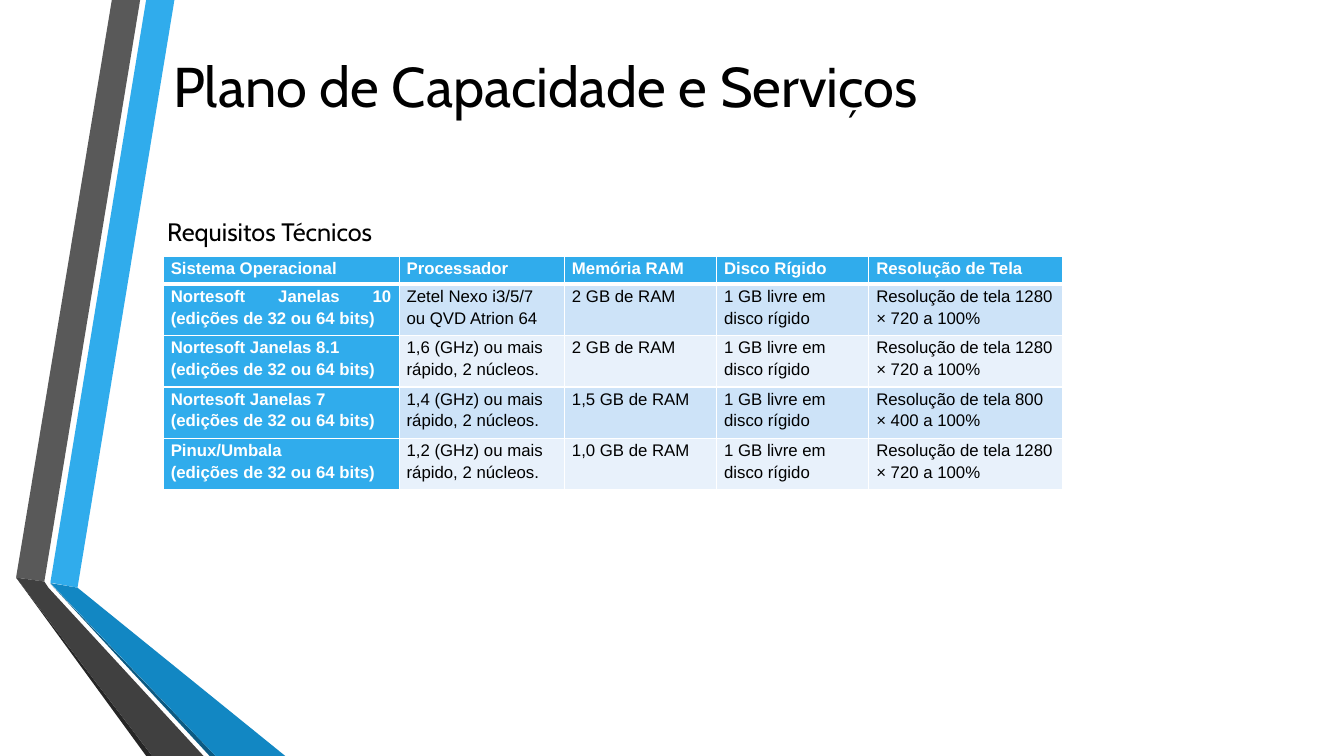
from dataclasses import dataclass

from lxml import etree
from pptx import Presentation
from pptx.dml.color import RGBColor
from pptx.enum import text
from pptx.oxml import ns
from pptx.util import Pt


@dataclass(frozen=True)
class Theme:
    blue: str = "30ACEC"
    blue_fold: str = "1287C3"
    blue_edge: str = "0C5A82"
    grey: str = "595959"
    grey_fold: str = "404040"
    grey_edge: str = "262626"
    bands: tuple = ("CDE3F8", "E8F1FB")
    ink: str = "000000"
    white: str = "FFFFFF"
    heading_font: str = "Cabin"
    table_font: str = "Arial"
    title_size: int = 40
    subtitle_size: int = 18
    table_size: int = 12


theme = Theme()


def add_run(paragraph, wording, font_name, size, color, bold=False):
    run = paragraph.add_run()
    run.text = wording
    run.font.name = font_name
    run.font.size = Pt(size)
    run.font.bold = bold
    run.font.color.rgb = RGBColor.from_string(color)


def add_border(cell, side, width):
    """Draw a white line on one side of a cell: L, R, T or B."""
    line = etree.SubElement(cell._tc.get_or_add_tcPr(), ns.qn(f"a:ln{side}"), w=str(Pt(width)))
    fill = etree.SubElement(line, ns.qn("a:solidFill"))
    etree.SubElement(fill, ns.qn("a:srgbClr"), val=theme.white)


prs = Presentation()
prs.slide_width, prs.slide_height = Pt(960), Pt(540)
slide = prs.slides.add_slide(prs.slide_layouts[5])

# Folded ribbons down the left edge
ribbons = [
    (theme.blue, [(36, 416.2), (55.4, 419.8), (124.6, 0), (104.4, 0)]),
    (theme.grey, [(100.1, 0), (79.9, 0), (11.5, 412.6), (31.7, 415.4)]),
    (theme.grey_edge, [(11.5, 412.6), (104.4, 540), (108.7, 540)]),
    (theme.blue_edge, [(36, 416.9), (149.8, 540), (154.1, 540)]),
    (theme.blue_fold, [(36, 416.5), (154.1, 540), (203.8, 540), (55.4, 419.8)]),
    (theme.grey_fold, [(145.4, 540), (34.6, 419.8), (31.7, 415.4), (11.5, 412.6), (108.7, 540)]),
]
for color, corners in ribbons:
    points = [(Pt(x), Pt(y)) for x, y in corners]
    outline = slide.shapes.build_freeform(*points[0])
    outline.add_line_segments(points[1:], close=True)
    ribbon = outline.convert_to_shape()
    ribbon.shadow.inherit = False
    ribbon.fill.solid()
    ribbon.fill.fore_color.rgb = RGBColor.from_string(color)
    ribbon.line.fill.background()

# Headings
title = slide.shapes.title
title.left, title.top, title.width, title.height = Pt(116.6), Pt(24.5), Pt(574), Pt(72)
title.text_frame.vertical_anchor = text.MSO_ANCHOR.MIDDLE
title_line = title.text_frame.paragraphs[0]
title_line.alignment = text.PP_ALIGN.LEFT
add_run(title_line, "Plano de Capacidade e Serviços", theme.heading_font, theme.title_size, theme.ink)

subtitle = slide.shapes.add_textbox(Pt(112.3), Pt(151.2), Pt(194.4), Pt(29)).text_frame
subtitle.word_wrap = True
subtitle.auto_size = text.MSO_AUTO_SIZE.SHAPE_TO_FIT_TEXT
add_run(subtitle.paragraphs[0], "Requisitos Técnicos", theme.heading_font, theme.subtitle_size, theme.ink)

# Requirements table
editions = "(edições de 32 ou 64 bits)"
disk = "1 GB livre em disco rígido"
screen = "Resolução de tela 1280 × 720 a 100%"
requirements = [
    ("Sistema Operacional", "Processador", "Memória RAM", "Disco Rígido", "Resolução de Tela"),
    (f"Nortesoft Janelas 10\n{editions}", "Zetel Nexo i3/5/7 ou QVD Atrion 64", "2 GB de RAM", disk, screen),
    (f"Nortesoft Janelas 8.1\n{editions}", "1,6 (GHz) ou mais rápido, 2 núcleos.", "2 GB de RAM", disk, screen),
    (f"Nortesoft Janelas 7\n{editions}", "1,4 (GHz) ou mais rápido, 2 núcleos.", "1,5 GB de RAM", disk,
     "Resolução de tela 800 × 400 a 100%"),
    (f"Pinux/Umbala\n{editions}", "1,2 (GHz) ou mais rápido, 2 núcleos.", "1,0 GB de RAM", disk, screen),
]
column_widths = [168.5, 118.1, 108.7, 108.7, 138.2]
row_heights = [20.2] + [36.7] * 4

table = slide.shapes.add_table(
    len(row_heights), len(column_widths), Pt(116.6), Pt(182.9),
    Pt(sum(column_widths)), Pt(sum(row_heights))).table
table.first_col = True
for column, width in zip(table.columns, column_widths):
    column.width = Pt(width)

for r, (row, height) in enumerate(zip(table.rows, row_heights)):
    row.height = Pt(height)
    for c, wording in enumerate(requirements[r]):
        cell = table.cell(r, c)
        heading = r == 0 or c == 0
        cell.margin_left = cell.margin_right = Pt(5.4)
        cell.margin_top = cell.margin_bottom = 0
        for side in "LRTB":
            under_header = (r, side) in ((0, "B"), (1, "T"))
            add_border(cell, side, 3 if under_header else 1)
        cell.fill.solid()
        cell.fill.fore_color.rgb = RGBColor.from_string(
            theme.blue if heading else theme.bands[(r - 1) % 2])

        paragraph = cell.text_frame.paragraphs[0]
        paragraph.line_spacing = 1.15
        paragraph.space_after = Pt(10)
        paragraph.alignment = text.PP_ALIGN.JUSTIFY if (r, c) == (1, 0) else text.PP_ALIGN.LEFT
        for i, line in enumerate(wording.split("\n")):
            if i:
                paragraph.add_line_break()
            add_run(paragraph, line, theme.table_font, theme.table_size,
                    theme.white if heading else theme.ink, heading)

prs.save("out.pptx")
